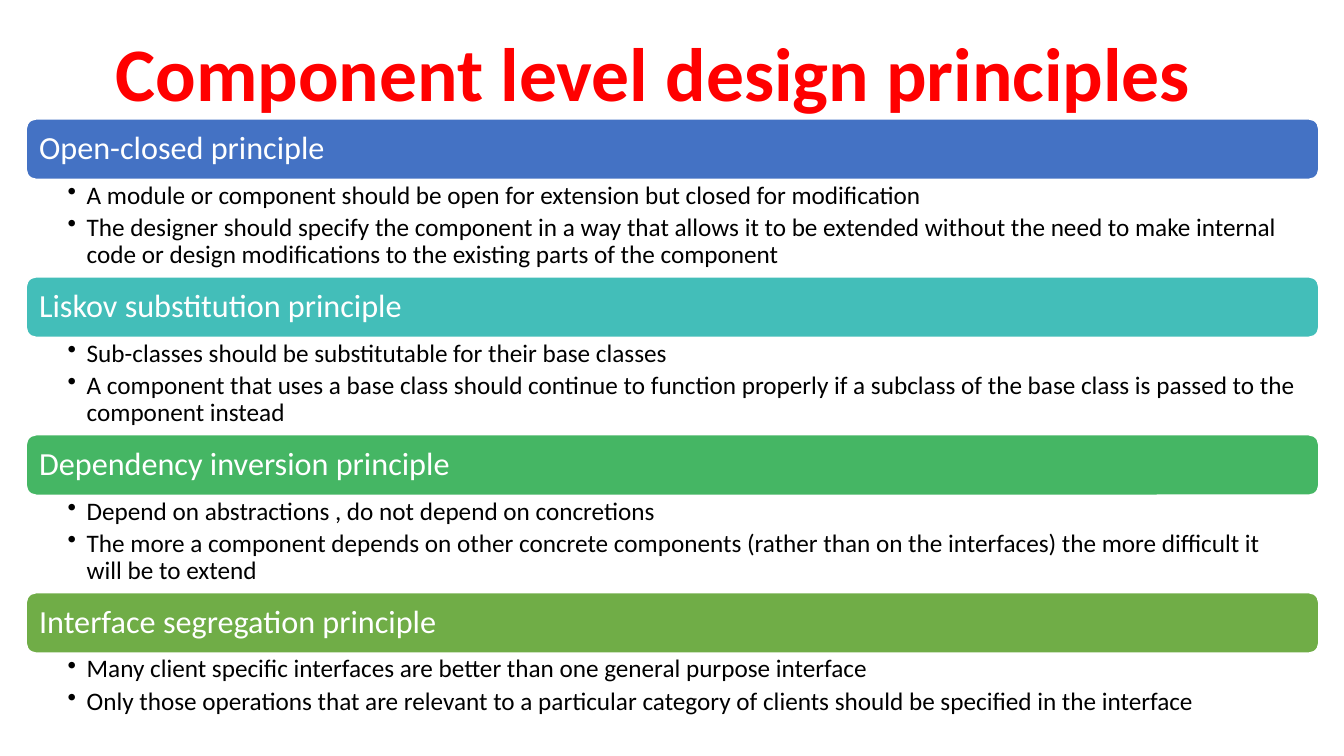
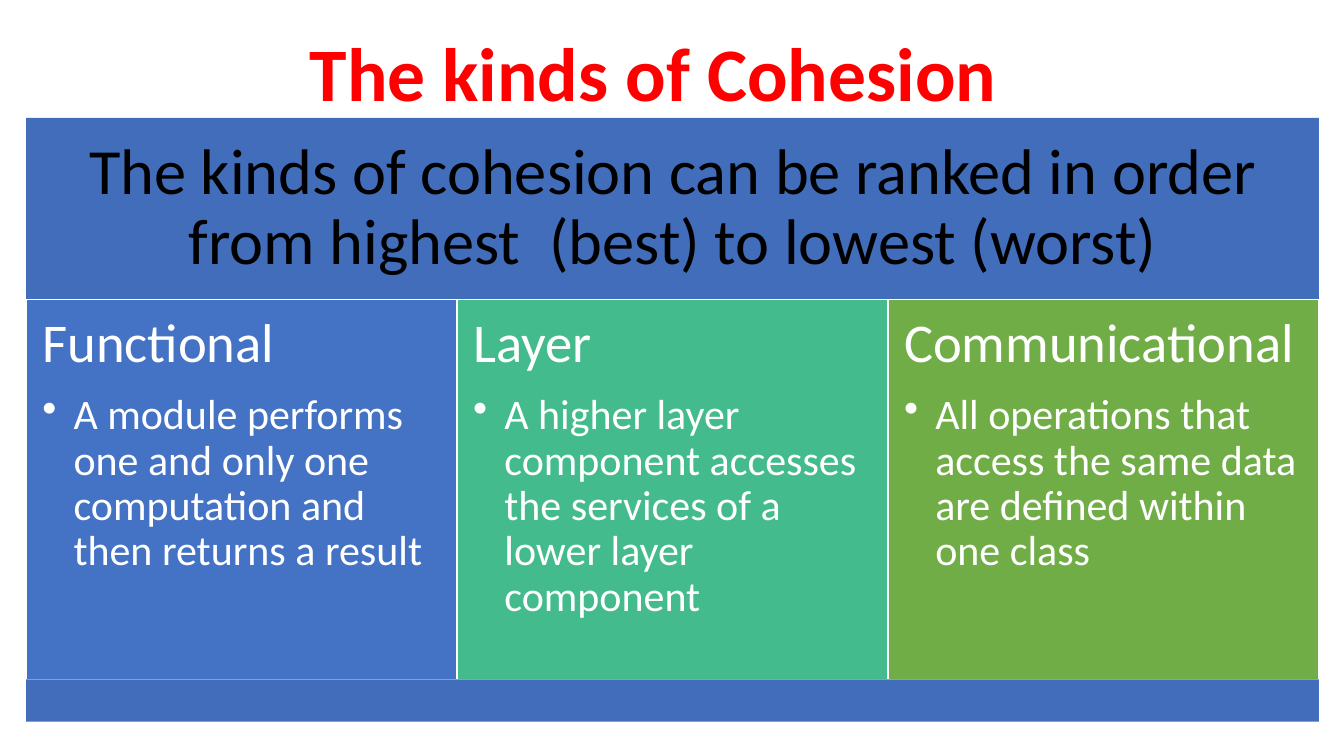
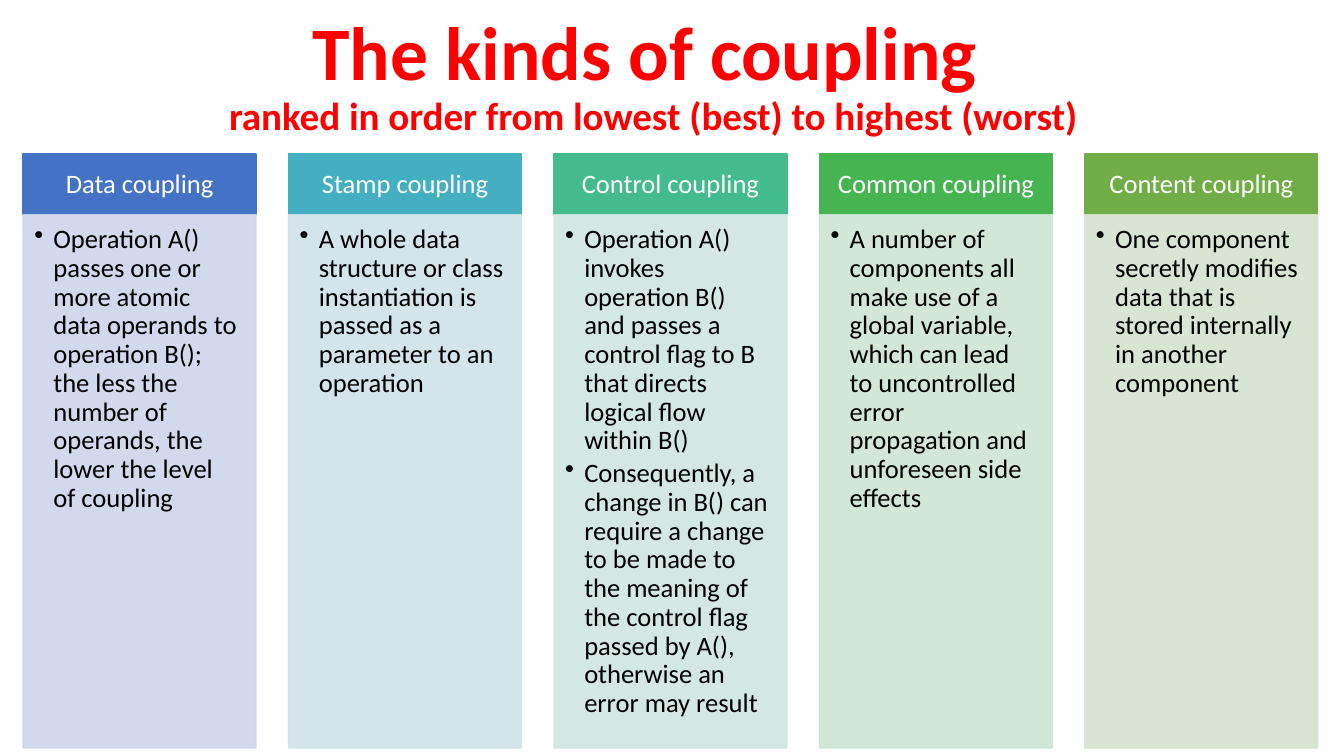
from lxml import etree
from pptx import Presentation
from pptx import util as u
from pptx.dml.color import RGBColor
from pptx.enum import shapes, text
from pptx.oxml.ns import qn

FONT = "Calibri"
WHITE, BLACK, RED = "FFFFFF", "000000", "FF0000"
BLUE, TEAL, MINT, GREEN = "4472C4", "43AFC0", "43BB8D", "70AD47"
BANNER = "416DBB"
RECTANGLE = shapes.MSO_SHAPE.RECTANGLE
ROUNDED = shapes.MSO_SHAPE.ROUNDED_RECTANGLE
LEFT, CENTER = text.PP_ALIGN.LEFT, text.PP_ALIGN.CENTER
TOP, MIDDLE = text.MSO_ANCHOR.TOP, text.MSO_ANCHOR.MIDDLE


def color(value):
    return RGBColor.from_string(value)


def apply(target, values):
    for name, value in values.items():
        setattr(target, name, value)


class Deck:
    def __init__(self):
        self.presentation = Presentation()
        apply(self.presentation, {"slide_width": u.Inches(13.33), "slide_height": u.Inches(7.5)})
        self.slide = None

    def add_slide(self, title, subtitle=None):
        layout = self.presentation.slide_layouts[5]
        self.slide = self.presentation.slides.add_slide(layout)
        shape = self.slide.shapes.title
        self.place(shape, 0.73, 0.36, 11.5, 0.81)
        self.set_frame(shape, (0.1, 0.05, 0.1, 0.05), MIDDLE)
        paragraph = shape.text_frame.paragraphs[0]
        apply(paragraph, {"alignment": CENTER, "line_spacing": 0.9})
        self.add_run(paragraph, title, 54, RED, True)
        if subtitle:
            paragraph.add_line_break()
            self.add_run(paragraph, subtitle, 27.9, RED, True)

    def place(self, shape, left, top, width, height):
        apply(shape, {"left": u.Inches(left), "top": u.Inches(top),
                      "width": u.Inches(width), "height": u.Inches(height)})

    def set_frame(self, shape, insets, anchor):
        sides = ("margin_left", "margin_top", "margin_right", "margin_bottom")
        values = {side: u.Inches(inset) for side, inset in zip(sides, insets)}
        values.update(word_wrap=True, auto_size=text.MSO_AUTO_SIZE.NONE, vertical_anchor=anchor)
        apply(shape.text_frame, values)

    def add_run(self, paragraph, words, size, ink, bold=False):
        run = paragraph.add_run()
        run.text = words
        apply(run.font, {"name": FONT, "size": u.Pt(size), "bold": bold})
        run.font.color.rgb = color(ink)

    def add_box(self, at, fill, line=None, kind=RECTANGLE, opacity=100):
        shape = self.slide.shapes.add_shape(kind, *(u.Inches(length) for length in at))
        shape.shadow.inherit = False
        shape.fill.solid()
        shape.fill.fore_color.rgb = color(fill)
        if line:
            shape.line.color.rgb = color(line)
            shape.line.width = u.Pt(1)
        else:
            shape.line.fill.background()
        if opacity < 100:
            for tint in shape._element.spPr.iter(qn("a:srgbClr")):
                etree.SubElement(tint, qn("a:alpha"), val=str(opacity * 1000))
        return shape

    def add_textbox(self, at):
        return self.slide.shapes.add_textbox(*(u.Inches(length) for length in at))

    def next_paragraph(self, shape):
        first = shape.text_frame.paragraphs[0]
        return shape.text_frame.add_paragraph() if first.runs else first

    def add_heading(self, shape, words, size, ink=WHITE, alignment=LEFT):
        paragraph = self.next_paragraph(shape)
        apply(paragraph, {"alignment": alignment, "line_spacing": 0.9,
                          "space_after": u.Pt(size * 0.35)})
        self.add_run(paragraph, words, size, ink)

    def add_bullets(self, shape, items, size, ink=BLACK, indent=0.19, gap=0.15):
        for item in items:
            paragraph = self.next_paragraph(shape)
            apply(paragraph, {"alignment": LEFT, "line_spacing": 0.9,
                              "space_after": u.Pt(size * gap)})
            properties = paragraph._p.get_or_add_pPr()
            properties.set("marL", str(u.Inches(indent)))
            properties.set("indent", str(-u.Inches(indent)))
            etree.SubElement(properties, qn("a:buChar"), char="•")
            self.add_run(paragraph, item, size, ink)


def build_principles(deck):
    deck.add_slide("Component level design principles")
    principles = [
        ("Open-closed principle", BLUE, [
            "A module or component should be open for extension but closed for modification",
            "The designer should specify the component in a way that allows it to be extended "
            "without the need to make internal code or design modifications to the existing "
            "parts of the component"]),
        ("Liskov substitution principle", "43BEB9", [
            "Sub-classes should be substitutable for their base classes",
            "A component that uses a base class should continue to function properly if a "
            "subclass of the base class is passed to the component instead"]),
        ("Dependency inversion principle", "45B664", [
            "Depend on abstractions , do not depend on concretions",
            "The more a component depends on other concrete components (rather than on the "
            "interfaces) the more difficult it will be to extend"]),
        ("Interface segregation principle", GREEN, [
            "Many client specific interfaces are better than one general purpose interface",
            "Only those operations that are relevant to a particular category of clients "
            "should be specified in the interface"]),
    ]
    left, width, bar_height = 0.26, 12.82, 0.6
    pitch = (5.88 - 1.18) / 3
    for index, (name, fill, items) in enumerate(principles):
        top = 1.18 + index * pitch
        bar = deck.add_box((left, top, width, bar_height), fill, WHITE, ROUNDED)
        deck.set_frame(bar, (0.1, 0.1, 0.1, 0.1), MIDDLE)
        deck.add_heading(bar, name, 23)
        details = deck.add_textbox((left, top + bar_height, width, pitch - bar_height))
        deck.set_frame(details, (0.41, 0.03, 0.18, 0.03), TOP)
        deck.add_bullets(details, items, 18, gap=0.2)


def build_cohesion(deck):
    deck.add_slide("The kinds of Cohesion")
    left, width = 0.26, 12.82
    banner = deck.add_box((left, 1.17, width, 1.8), BANNER)
    deck.set_frame(banner, (0.19, 0.19, 0.19, 0.19), MIDDLE)
    deck.add_heading(banner, "The kinds of cohesion can be ranked in order from highest  (best) "
                     "to lowest (worst)", 46, BLACK, CENTER)
    kinds = [
        ("Functional", BLUE,
         "A module performs one and only one computation and then returns a result"),
        ("Layer", MINT,
         "A higher layer component accesses the services of a lower layer component"),
        ("Communicational", GREEN,
         "All operations that access the same data are defined within one class"),
    ]
    column = width / len(kinds)
    for index, (name, fill, description) in enumerate(kinds):
        panel = deck.add_box((left + index * column, 2.97, column, 3.77), fill, WHITE)
        deck.set_frame(panel, (0.16, 0.16, 0.16, 0.16), TOP)
        deck.add_heading(panel, name, 39)
        deck.add_bullets(panel, [description], 30, WHITE, 0.31)
    deck.add_box((left, 6.74, width, 0.42), BANNER)


def build_coupling(deck):
    deck.add_slide("The kinds of coupling ", "ranked in order from lowest (best) to highest (worst)")
    kinds = [
        ("Data coupling", BLUE, "CFD5EA", [
            "Operation A() passes one or more atomic data operands to operation B(); the less "
            "the number of operands, the lower the level of coupling"]),
        ("Stamp coupling", TEAL, "CFE2E8", [
            "A whole data structure or class instantiation is passed as a parameter to an "
            "operation"]),
        ("Control coupling", MINT, "CFE6E0", [
            "Operation A() invokes operation B() and passes a control flag to B that directs "
            "logical flow within B()",
            "Consequently, a change in B() can require a change to be made to the meaning of "
            "the control flag passed by A(), otherwise an error may result"]),
        ("Common coupling", "45B451", "CFE5D4", [
            "A number of components all make use of a global variable, which can lead to "
            "uncontrolled error  propagation and unforeseen side effects"]),
        ("Content coupling", GREEN, "D5E3CF", [
            "One component secretly modifies data that is stored internally in another "
            "component"]),
    ]
    width = 2.31
    pitch = (10.76 - 0.23) / 4
    for index, (name, fill, tint, items) in enumerate(kinds):
        left = 0.23 + index * pitch
        header = deck.add_box((left, 1.53, width, 0.6), fill, fill)
        deck.set_frame(header, (0.15, 0.08, 0.15, 0.08), MIDDLE)
        deck.add_heading(header, name, 19, alignment=CENTER)
        panel = deck.add_box((left, 2.13, width, 5.29), tint, tint, opacity=90)
        deck.set_frame(panel, (0.11, 0.11, 0.15, 0.17), TOP)
        deck.add_bullets(panel, items, 19)


def main():
    deck = Deck()
    build_principles(deck)
    build_cohesion(deck)
    build_coupling(deck)
    deck.presentation.save("out.pptx")


if __name__ == "__main__":
    main()
